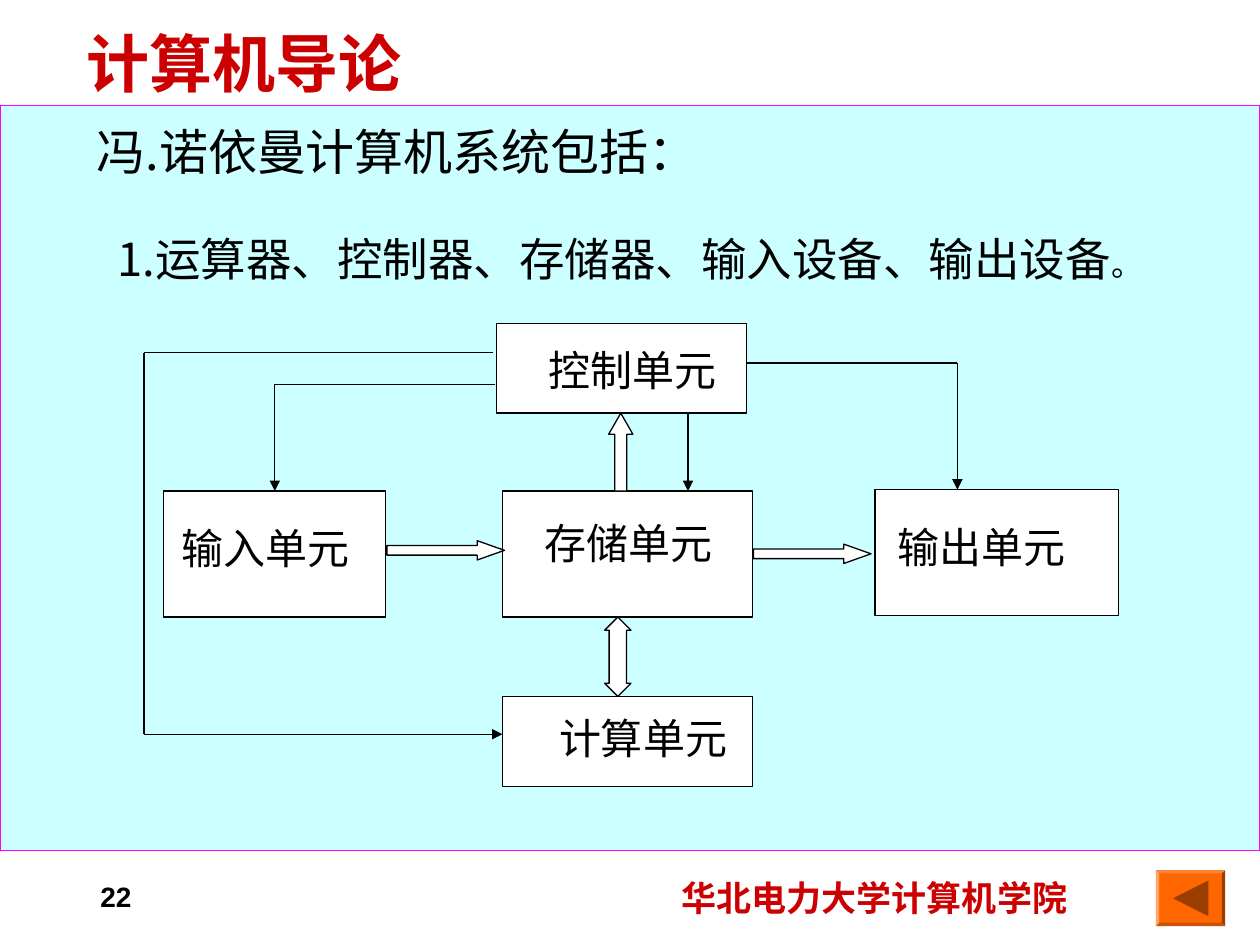
from lxml.etree import SubElement
from pptx import Presentation
from pptx.dml.color import RGBColor
from pptx.enum.shapes import MSO_CONNECTOR, MSO_SHAPE
from pptx.enum.text import MSO_ANCHOR, MSO_AUTO_SIZE, PP_ALIGN
from pptx.oxml.ns import qn
from pptx.util import Cm, Pt

COLORS = {"red": "CC0000", "black": "000000", "white": "FFFFFF", "panel": "CCFFFF",
          "panel_line": "FF00FF", "orange": "FF6600", "brown": "993D00"}
CJK = "Noto Sans CJK SC"
MARGINS = (0.25, 0.13)  # left and top, cm


def color(name):
    return RGBColor.from_string(COLORS[name])


def lengths(values):
    return [Cm(value) for value in values]


def paint(shape, fill, line=None):
    shape.shadow.inherit = False
    shape.fill.solid()
    shape.fill.fore_color.rgb = color(fill)
    if line:
        shape.line.color.rgb = color(line)
        shape.line.width = Pt(0.75)
    else:
        shape.line.fill.background()


def write(shape, runs, font="Arial", fill="black", bold=False,
          align=PP_ALIGN.LEFT, margins=MARGINS):
    """Write (text, size) runs as one top-anchored paragraph."""
    frame = shape.text_frame
    frame.word_wrap = True
    frame.auto_size = MSO_AUTO_SIZE.NONE
    frame.vertical_anchor = MSO_ANCHOR.TOP
    frame.margin_left, frame.margin_top = lengths(margins)
    frame.margin_right, frame.margin_bottom = lengths(MARGINS)
    paragraph = frame.paragraphs[0]
    paragraph.alignment = align
    paragraph.space_before = Pt(0)
    for text, size in runs:
        run = paragraph.add_run()
        run.text = text
        run.font.size = Pt(size)
        run.font.bold = bold
        run.font.color.rgb = color(fill)
        run.font.name = font
        SubElement(run.font._element, qn("a:ea"), typeface=CJK)


def place(placeholder, box):
    (placeholder.left, placeholder.top,
     placeholder.width, placeholder.height) = lengths(box)
    return placeholder


def add_text(slide, box, runs, **style):
    write(slide.shapes.add_textbox(*lengths(box)), runs, **style)


def add_unit(slide, label, box, margins):
    unit = slide.shapes.add_shape(MSO_SHAPE.RECTANGLE, *lengths(box))
    paint(unit, "white", "black")
    write(unit, [(label, 24)], font="Calibri", align=PP_ALIGN.JUSTIFY, margins=margins)
    return unit


def add_block_arrow(slide, kind, box, head):
    arrow = slide.shapes.add_shape(kind, *lengths(box))
    arrow.adjustments[0] = 0.5
    arrow.adjustments[1] = head
    paint(arrow, "white", "black")


def add_line(slide, start, end, arrow=False):
    line = slide.shapes.add_connector(MSO_CONNECTOR.STRAIGHT, *lengths(start + end))
    line.line.color.rgb = color("black")
    line.line.width = Pt(0.75)
    if arrow:
        SubElement(line.line._get_or_add_ln(), qn("a:tailEnd"), type="triangle")
    SubElement(line._element.spPr, qn("a:effectLst"))
    return line


def add_back_button(slide):
    button = slide.shapes.add_shape(MSO_SHAPE.BEVEL, *lengths((23.3, 17.54, 1.4, 1.13)))
    button.adjustments[0] = 0.06
    paint(button, "orange")
    builder = slide.shapes.build_freeform(Cm(23.65), Cm(18.11))
    builder.add_line_segments([lengths((24.36, 17.75)), lengths((24.36, 18.47))])
    paint(builder.convert_to_shape(), "brown")


def add_diagram(slide):
    # Units: label, box, left and top margins
    add_unit(slide, "存储单元", (10.13, 9.9, 5.04, 2.54), (0.84, 0.53))
    add_unit(slide, "控制单元", (10.01, 6.52, 5.04, 1.81), (1.04, 0.43))
    input_unit = add_unit(slide, "输入单元", (3.3, 9.9, 4.48, 2.54), (0.36, 0.64))
    add_unit(slide, "输出单元", (17.64, 9.87, 4.91, 2.54), (0.46, 0.64))
    add_unit(slide, "计算单元", (10.13, 14.04, 5.04, 1.81), (1.14, 0.33))

    # Data flow
    add_block_arrow(slide, MSO_SHAPE.RIGHT_ARROW, (7.8, 10.9, 2.37, 0.39), 1.41)
    add_block_arrow(slide, MSO_SHAPE.RIGHT_ARROW, (15.19, 10.97, 2.37, 0.39), 1.41)
    add_block_arrow(slide, MSO_SHAPE.UP_ARROW, (12.27, 8.33, 0.49, 1.57), 0.87)
    add_block_arrow(slide, MSO_SHAPE.UP_DOWN_ARROW, (12.19, 12.44, 0.53, 1.6), 0.66)

    # Control to input
    add_line(slide, (9.98, 7.75), (5.54, 7.75))
    to_input = add_line(slide, (5.54, 7.75), (5.54, 9.9), arrow=True)
    to_input.end_connect(input_unit, 0)
    # Control to calculation
    add_line(slide, (9.93, 7.11), (2.9, 7.11))
    add_line(slide, (2.9, 7.11), (2.9, 14.8))
    add_line(slide, (2.9, 14.8), (10.13, 14.8), arrow=True)
    # Control to storage
    add_line(slide, (13.87, 8.33), (13.87, 9.9), arrow=True)
    # Control to output
    add_line(slide, (15.05, 7.32), (19.3, 7.32))
    add_line(slide, (19.3, 7.32), (19.3, 9.87), arrow=True)


def main():
    presentation = Presentation()
    presentation.slide_width, presentation.slide_height = Cm(25.4), Cm(19.05)
    slide = presentation.slides.add_slide(presentation.slide_layouts[1])
    title, body = slide.placeholders

    # Background panel, behind the placeholders
    panel = slide.shapes.add_shape(MSO_SHAPE.RECTANGLE, *lengths((0, 2.13, 25.4, 15.01)))
    paint(panel, "panel", "panel_line")
    title._element.addprevious(panel._element)

    # Title and footer
    write(place(title, (1.5, 0.36, 7.8, 1.78)), [("计算机导论", 36)], fill="red", bold=True)
    add_text(slide, (13.49, 17.53, 8.41, 1.12), [("华北电力大学计算机学院", 20)],
             fill="red", bold=True)
    add_text(slide, (0.51, 17.6, 2.39, 1.32), [("22", 16)], bold=True, align=PP_ALIGN.RIGHT)
    add_back_button(slide)

    # Lead line and list of parts
    add_text(slide, (1.7, 2.31, 22, 1.45), [("冯.诺依曼计算机系统包括：", 28)], font=CJK)
    properties = body.text_frame.paragraphs[0]._p.get_or_add_pPr()
    properties.set("marL", "0")
    properties.set("indent", "0")
    SubElement(properties, qn("a:buNone"))
    write(place(body, (2.11, 4.52, 22, 1.37)),
          [("1.运算器、控制器、存储器、输入设备、输出设备", 26), ("。", 18)], font=CJK)

    add_diagram(slide)
    presentation.save("out.pptx")


if __name__ == "__main__":
    main()
